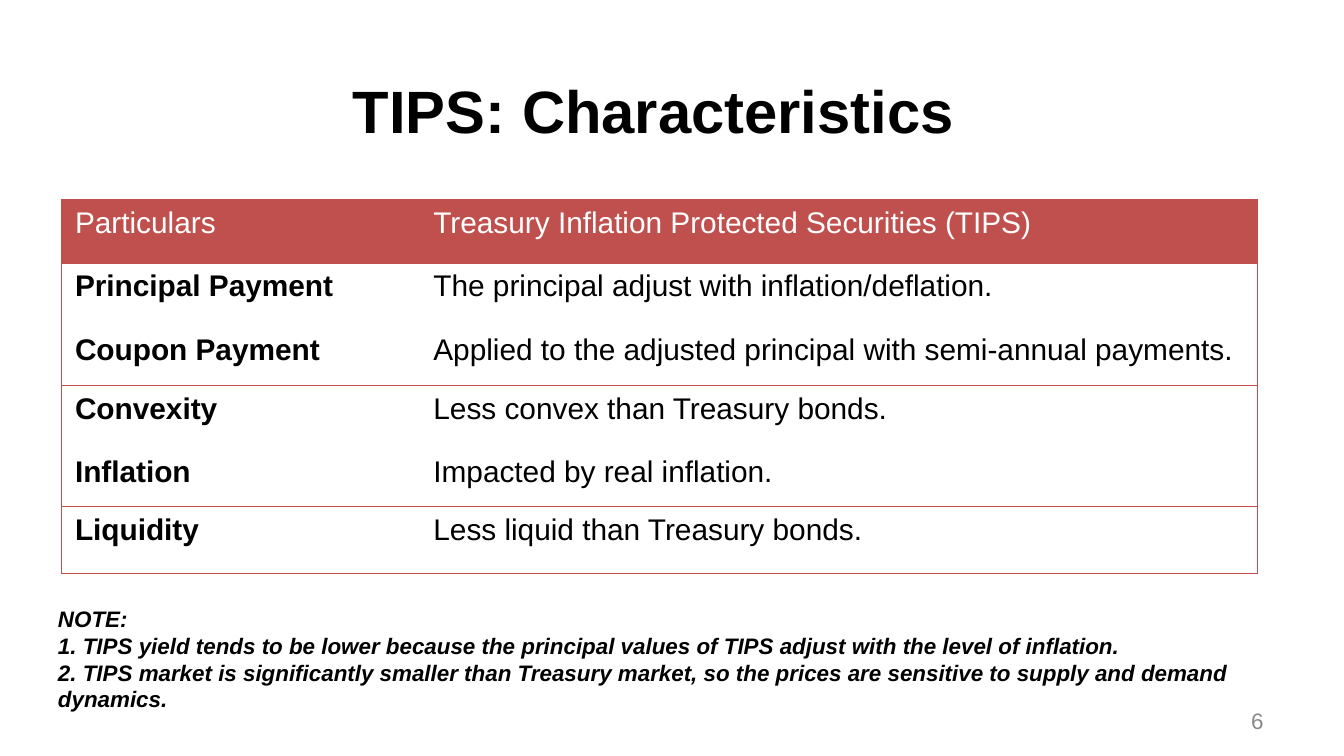
from lxml.etree import SubElement
from pptx import Presentation
from pptx.dml.color import RGBColor
from pptx.enum.text import MSO_ANCHOR as Anchor, MSO_AUTO_SIZE as AutoSize, PP_ALIGN as Align
from pptx.oxml.ns import qn
from pptx.util import Pt

BLACK = RGBColor(0, 0, 0)
WHITE = RGBColor(255, 255, 255)
GREY = RGBColor(0x88, 0x88, 0x88)
RED = RGBColor(0xC0, 0x50, 0x4D)

NO_GRID_STYLE = "{2D5ABB26-0587-4C30-8999-92F81FD0307C}"
COLUMN_WIDTHS = [192, 448.5]
ROW_HEIGHTS = [34, 34, 31.5, 34, 31, 36]
RULED_ROWS = {0, 2, 4, 5}  # rows with a line below

ROWS = [
    ("Particulars", "Treasury Inflation Protected Securities (TIPS)"),
    ("Principal Payment", "The principal adjust with inflation/deflation."),
    ("Coupon Payment", "Applied to the adjusted principal with semi-annual payments."),
    ("Convexity", "Less convex than Treasury bonds."),
    ("Inflation", "Impacted by real inflation."),
    ("Liquidity", "Less liquid than Treasury bonds."),
]
NOTES = [
    "NOTE:",
    "1. TIPS yield tends to be lower because the principal values of TIPS adjust "
    "with the level of inflation.",
    "2. TIPS market is significantly smaller than Treasury market, so the prices "
    "are sensitive to supply and demand dynamics.",
]


class SlideBuilder:
    font_name = "Arial"
    line_width = 0.75

    def __init__(self, slide):
        self.slide = slide

    def add_lines(self, frame, lines, size, color=BLACK, bold=False, italic=False,
                  align=Align.LEFT):
        for index, line in enumerate(lines):
            paragraph = frame.add_paragraph() if index else frame.paragraphs[0]
            paragraph.alignment = align
            run = paragraph.add_run()
            run.text = line
            font = run.font
            font.name, font.size = self.font_name, Pt(size)
            font.bold, font.italic = bold, italic
            font.color.rgb = color

    def title(self, text, left, top, width, height):
        shape = self.slide.shapes.title
        shape.left, shape.top, shape.width, shape.height = map(Pt, (left, top, width, height))
        frame = shape.text_frame
        frame.margin_left = frame.margin_right = frame.margin_top = frame.margin_bottom = 0
        frame.vertical_anchor = Anchor.TOP
        frame.auto_size = AutoSize.NONE
        self.add_lines(frame, [text], 32, bold=True, align=Align.CENTER)

    def text_box(self, lines, left, top, width, height, anchor=Anchor.TOP,
                 auto_size=AutoSize.NONE, **style):
        frame = self.slide.shapes.add_textbox(*map(Pt, (left, top, width, height))).text_frame
        frame.word_wrap = True
        frame.auto_size = auto_size
        frame.vertical_anchor = anchor
        self.add_lines(frame, lines, 12, **style)

    def borders(self, cell, visible_edges):
        properties = cell._tc.get_or_add_tcPr()
        for edge in "LRTB":
            line = SubElement(properties, qn(f"a:ln{edge}"), w=str(Pt(self.line_width)))
            if edge in visible_edges:
                fill = SubElement(line, qn("a:solidFill"))
                SubElement(fill, qn("a:srgbClr"), val=str(RED))
            else:
                SubElement(line, qn("a:noFill"))

    def table(self, rows, left, top):
        size = map(Pt, (left, top, sum(COLUMN_WIDTHS), sum(ROW_HEIGHTS)))
        table = self.slide.shapes.add_table(len(rows), len(COLUMN_WIDTHS), *size).table
        table._tbl.tblPr.find(qn("a:tableStyleId")).text = NO_GRID_STYLE
        table.horz_banding = False
        for column, width in zip(table.columns, COLUMN_WIDTHS):
            column.width = Pt(width)
        for row_index, (texts, height) in enumerate(zip(rows, ROW_HEIGHTS)):
            table.rows[row_index].height = Pt(height)
            header = row_index == 0
            for column_index, text in enumerate(texts):
                cell = table.cell(row_index, column_index)
                edges = "R" if column_index else "L"
                if header or row_index - 1 in RULED_ROWS:
                    edges += "T"
                if row_index in RULED_ROWS:
                    edges += "B"
                self.borders(cell, edges)
                if header:
                    cell.fill.solid()
                    cell.fill.fore_color.rgb = RED
                else:
                    cell.fill.background()
                self.add_lines(cell.text_frame, [text], 16, WHITE if header else BLACK,
                               bold=not header and column_index == 0)


def main():
    presentation = Presentation()
    presentation.slide_width, presentation.slide_height = Pt(720), Pt(405)
    title_only = presentation.slide_layouts[5]
    builder = SlideBuilder(presentation.slides.add_slide(title_only))

    # Slide number
    builder.text_box(["6"], 516, 375, 168, 21.6, anchor=Anchor.MIDDLE,
                     color=GREY, align=Align.RIGHT)
    # Title
    builder.title("TIPS: Characteristics", 16.5, 39.5, 667.5, 37.5)
    # Notes below the table
    builder.text_box(NOTES, 24, 320.5, 659, 65.5, auto_size=AutoSize.SHAPE_TO_FIT_TEXT,
                     bold=True, italic=True)
    # Characteristics table
    builder.table(ROWS, 33, 107)

    presentation.save("out.pptx")


if __name__ == "__main__":
    main()
